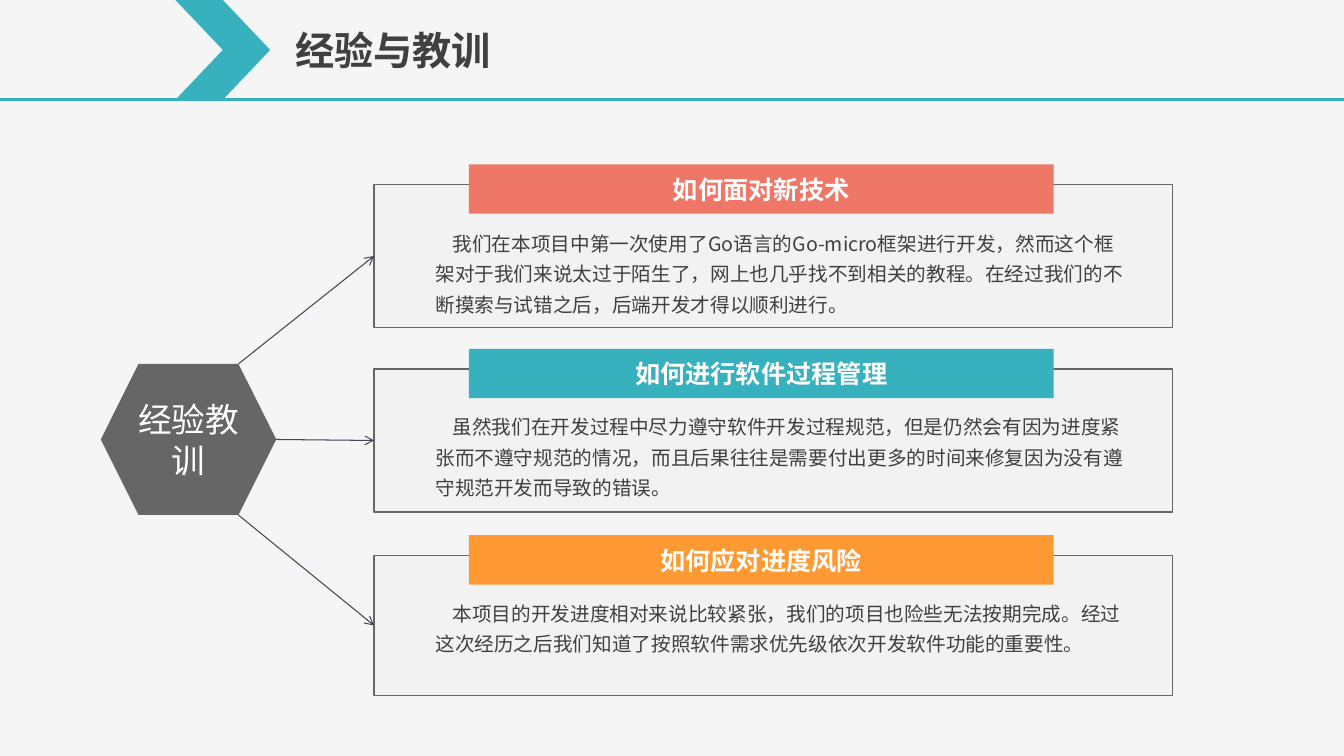
from pptx import Presentation
from pptx.dml.color import RGBColor
from pptx.enum import shapes, text
from pptx.oxml.ns import qn
from pptx import util as u
from lxml import etree

FONT = "Noto Sans CJK SC"
PAPER = RGBColor(0xF5, 0xF5, 0xF5)
PANEL = RGBColor(0xF2, 0xF2, 0xF2)
TEAL = RGBColor(0x38, 0xB1, 0xBF)
CORAL = RGBColor(0xEF, 0x77, 0x68)
ORANGE = RGBColor(0xFF, 0x99, 0x33)
GREY = RGBColor(0x66, 0x66, 0x66)
INK = RGBColor(0x40, 0x40, 0x40)
SLATE = RGBColor(0x41, 0x44, 0x55)
WHITE = RGBColor(0xFF, 0xFF, 0xFF)

HEADING = {"size": u.Pt(28), "bold": True}
BANNER = {"size": u.Pt(18), "bold": True}
HUB = {"size": u.Pt(24), "bold": False}
BODY = {"size": u.Pt(14), "bold": False}
CENTRED = {"alignment": text.PP_ALIGN.CENTER}

LESSONS = [
    ("如何面对新技术", CORAL, 1.83, 1.42, 0.35,
     "我们在本项目中第一次使用了Go语言的Go-micro框架进行开发，然而这个框架对于我们来说太过于陌生了，"
     "网上也几乎找不到相关的教程。在经过我们的不断摸索与试错之后，后端开发才得以顺利进行。"),
    ("如何进行软件过程管理", TEAL, 3.66, 1.42, 0.34,
     "虽然我们在开发过程中尽力遵守软件开发过程规范，但是仍然会有因为进度紧张而不遵守规范的情况，"
     "而且后果往往是需要付出更多的时间来修复因为没有遵守规范开发而导致的错误。"),
    ("如何应对进度风险", ORANGE, 5.51, 1.39, 0.34,
     "本项目的开发进度相对来说比较紧张，我们的项目也险些无法按期完成。"
     "经过这次经历之后我们知道了按照软件需求优先级依次开发软件功能的重要性。"),
]


def inches(*lengths):
    """Convert several lengths to EMU."""
    return [u.Inches(length) for length in lengths]


def write(holder, words, color, font_format, paragraph_format):
    """Put one formatted paragraph into a shape or text box."""
    holder.text_frame.word_wrap = True
    paragraph = holder.text_frame.paragraphs[0]
    for name, value in paragraph_format.items():
        setattr(paragraph, name, value)
    run = paragraph.add_run()
    run.text = words
    for name, value in {"name": FONT, **font_format}.items():
        setattr(run.font, name, value)
    run.font.color.rgb = color
    etree.SubElement(run.font._element, qn("a:ea")).set("typeface", FONT)
    return paragraph


def add_block(slide, preset, box, fill, outline=None):
    """Draw a flat filled shape, outlined on request."""
    block = slide.shapes.add_shape(preset, *inches(*box))
    block.shadow.inherit = False
    block.fill.solid()
    block.fill.fore_color.rgb = fill
    if outline is None:
        block.line.fill.background()
    else:
        block.line.color.rgb = outline
        block.line.width = u.Pt(1)
    block.text_frame.vertical_anchor = text.MSO_ANCHOR.MIDDLE
    return block


def add_rule(slide, start, end, color, points, arrow=False):
    """Draw a straight line, with an open arrowhead on request."""
    rule = slide.shapes.add_connector(
        shapes.MSO_CONNECTOR.STRAIGHT, *inches(*start, *end))
    rule.line.color.rgb = color
    rule.line.width = u.Pt(points)
    if arrow:
        etree.SubElement(rule.line._get_or_add_ln(), qn("a:tailEnd")).set("type", "arrow")
    etree.SubElement(rule._element.spPr, qn("a:effectLst"))


def add_header(slide, left, top, width, height):
    """Draw the rule, chevron and title across the top band."""
    add_rule(slide, (left, top + height), (left + width, top + height), TEAL, 2.25)
    add_block(slide, shapes.MSO_SHAPE.CHEVRON, (left + 1.74, top, 0.94, height), TEAL)
    title = slide.shapes.add_textbox(*inches(left + 2.83, top + 0.21, 5.68, 0.57))
    write(title, "经验与教训", INK, HEADING, {})


def add_hub(slide, left, top, width, height, target_left, target_middles):
    """Draw the hexagon and an arrow from it to each lesson."""
    hub = add_block(slide, shapes.MSO_SHAPE.HEXAGON, (left, top, width, height), GREY)
    write(hub, "经验教训", WHITE, HUB, CENTRED)
    right, corner = left + width, left + width - height / 4
    starts = [(corner, top), (right, top + height / 2), (corner, top + height)]
    for start, middle in zip(starts, target_middles):
        add_rule(slide, start, (target_left, middle), SLATE, 0.75, arrow=True)


def add_lesson(slide, left, top, width, height, heading, color, text_drop, story):
    """Draw a framed lesson with its banner and story."""
    rectangle = shapes.MSO_SHAPE.RECTANGLE
    add_block(slide, rectangle, (left, top, width, height), PANEL, GREY)
    banner = add_block(slide, rectangle, (left + 0.94, top - 0.2, 5.8, 0.49), color)
    write(banner, heading, WHITE, BANNER, CENTRED)
    story_box = slide.shapes.add_textbox(*inches(left + 0.51, top + text_drop, 7.08, 0.99))
    paragraph = write(story_box, story, INK, BODY, {"line_spacing": 1.3})
    paragraph._p.get_or_add_pPr().set("indent", str(u.Inches(0.17)))


def main():
    """Build and save the slide."""
    deck = Presentation()
    deck.slide_width, deck.slide_height = inches(13.33, 7.5)
    slide = deck.slides.add_slide(deck.slide_layouts[6])
    slide.background.fill.solid()
    slide.background.fill.fore_color.rgb = PAPER
    add_header(slide, 0, 0, 13.33, 0.99)
    lessons_left = 3.71
    for heading, color, top, height, text_drop, story in LESSONS:
        add_lesson(slide, lessons_left, top, 7.92, height, heading, color, text_drop, story)
    middles = [top + height / 2 for _, _, top, height, _, _ in LESSONS]
    add_hub(slide, 1, 3.61, 1.74, 1.5, lessons_left, middles)
    deck.save("out.pptx")


if __name__ == "__main__":
    main()
